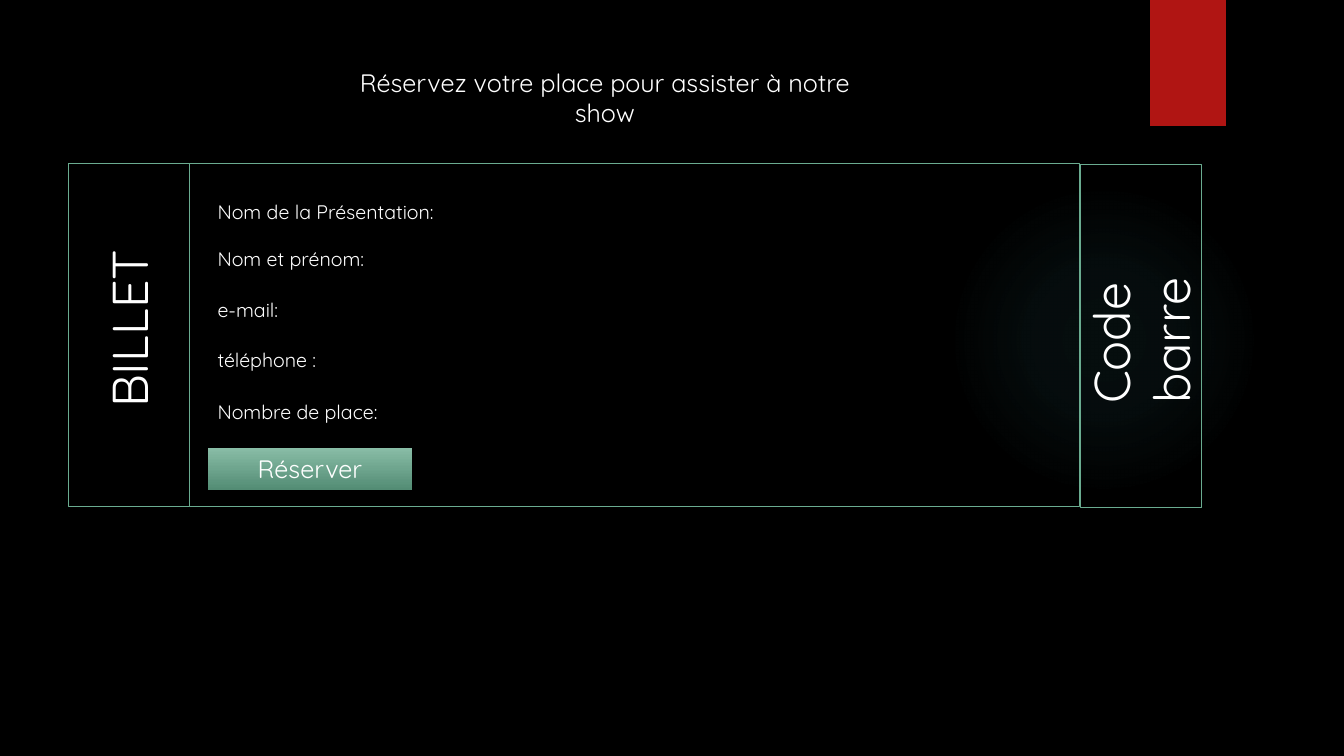
import pptx
import pptx.util
import pptx.dml.color
import pptx.enum.shapes
import pptx.enum.text
import pptx.oxml
import pptx.oxml.ns

COLORS = {
    "background": "000000",
    "text": "FFFFFF",
    "outline": "6AAC90",
    "ribbon": "B01513",
    "glow": "50B9C1",
    "button_top": "89BDA7",
    "button_bottom": "538C74",
}
RGB = {name: pptx.dml.color.RGBColor.from_string(c) for name, c in COLORS.items()}
NS = pptx.oxml.ns.nsdecls("a")
SHAPE = pptx.enum.shapes.MSO_SHAPE
ALIGN = pptx.enum.text.PP_ALIGN
ANCHOR = pptx.enum.text.MSO_ANCHOR

prs = pptx.Presentation()
prs.slide_width = pptx.util.Inches(13.333)
prs.slide_height = pptx.util.Inches(7.5)
s = prs.slides.add_slide(prs.slide_layouts[5])
s.background.fill.solid()
s.background.fill.fore_color.rgb = RGB["background"]


def box(x, y, w, h):
    W, H = prs.slide_width, prs.slide_height
    return [int(v / 100 * side) for v, side in ((x, W), (y, H), (w, W), (h, H))]


def write(sp, text, size, align=ALIGN.LEFT, anchor=ANCHOR.TOP):
    tf = sp.text_frame
    tf.word_wrap = True
    tf.auto_size = pptx.enum.text.MSO_AUTO_SIZE.NONE
    tf.vertical_anchor = anchor
    p = tf.paragraphs[0]
    p.text = text
    p.alignment = align
    p.font.name = "Quicksand"
    p.font.size = pptx.util.Pt(size)
    p.font.color.rgb = RGB["text"]


glow = s.shapes.add_shape(SHAPE.OVAL, *box(70.58, 24.4, 23.1, 41.07))
glow.shadow.inherit = False
glow.line.fill.background()
glow.fill.background()
stops = "".join(
    f'<a:gs pos="{pos * 1000}"><a:srgbClr val="{COLORS["glow"]}">'
    f'<a:alpha val="{alpha * 1000}"/></a:srgbClr></a:gs>'
    for pos, alpha in ((0, 7), (36, 6), (69, 0))
)
no_fill = glow._element.spPr.find(pptx.oxml.ns.qn("a:noFill"))
no_fill.getparent().replace(no_fill, pptx.oxml.parse_xml(
    f'<a:gradFill {NS} rotWithShape="1"><a:gsLst>{stops}</a:gsLst><a:path path="circle">'
    '<a:fillToRect l="50000" t="50000" r="50000" b="50000"/></a:path></a:gradFill>'
))

ribbon = s.shapes.add_shape(SHAPE.RECTANGLE, *box(85.58, 0, 5.63, 16.67))
ribbon.fill.solid()
ribbon.fill.fore_color.rgb = RGB["ribbon"]

title = s.shapes.title
title.left, title.top, title.width, title.height = box(25.43, 8.27, 39.15, 9.47)
write(title, "Réservez votre place pour assister à notre show", 18, ALIGN.CENTER)

for x, y, w in ((14.1, 21.6, 66.23), (5.1, 21.6, 9), (80.4, 21.73, 9)):
    panel = s.shapes.add_shape(SHAPE.RECTANGLE, *box(x, y, w, 45.47))
    panel.shadow.inherit = False
    panel.fill.background()
    panel.line.color.rgb = RGB["outline"]
    panel.line.width = pptx.util.Pt(0.75)

for y, label in (
    (25.73, "Nom de la Présentation:"),
    (32, "Nom et prénom:"),
    (38.8, "e-mail:"),
    (45.33, "téléphone :"),
    (52.27, "Nombre de place:"),
):
    write(s.shapes.add_textbox(*box(15.45, y, 22.43, 4.53)), label, 14)

button = s.shapes.add_shape(SHAPE.RECTANGLE, *box(15.45, 59.2, 15.23, 5.6))
button.fill.gradient()
button.fill.gradient_angle = 270
for stop, name in zip(button.fill.gradient_stops, ("button_top", "button_bottom")):
    stop.color.rgb = RGB[name]
write(button, "Réserver", 18, ALIGN.CENTER, ANCHOR.MIDDLE)

for sp, alpha, blur, dist in ((ribbon, 45, 3, 2), (button, 60, 5, 3)):
    sp.line.fill.background()
    sp._element.spPr.append(pptx.oxml.parse_xml(
        f'<a:effectLst {NS}><a:outerShdw blurRad="{pptx.util.Pt(blur)}" '
        f'dist="{pptx.util.Pt(dist)}" dir="5400000" rotWithShape="0">'
        f'<a:srgbClr val="{COLORS["background"]}"><a:alpha val="{alpha * 1000}"/>'
        '</a:srgbClr></a:outerShdw></a:effectLst>'
    ))

for x, y, h, text in ((2.33, 37.6, 9.47, "BILLET"), (77.63, 33.07, 17.47, "Code barre")):
    side = s.shapes.add_textbox(*box(x, y, 14.55, h))
    side.rotation = 270
    write(side, text, 36)

prs.save("out.pptx")
